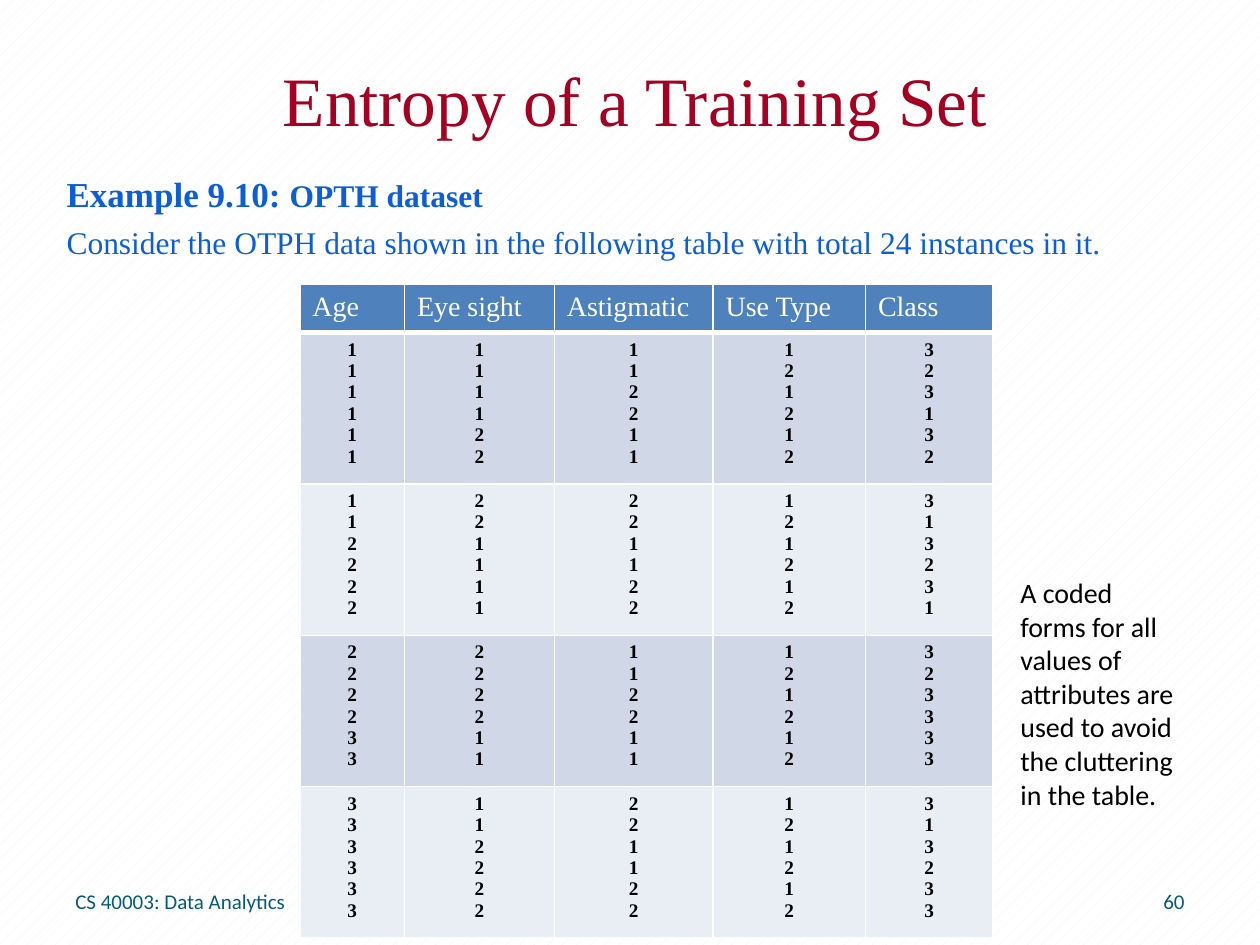
import dataclasses
import itertools

import pptx
import pptx.dml.color
import pptx.enum.dml
import pptx.enum.text
import pptx.oxml
import pptx.oxml.ns
import pptx.util

ALIGN = pptx.enum.text.PP_ALIGN
ANCHOR = pptx.enum.text.MSO_ANCHOR


@dataclasses.dataclass(frozen=True)
class Theme:
    serif: str = "Times New Roman"
    sans: str = "Calibri"
    title: str = "A50021"
    intro: str = "0B5ED7"
    footer: str = "045D75"
    ink: str = "000000"
    white: str = "FFFFFF"
    hatch: str = "F2F2F2"
    header: str = "4F81BD"
    bands: tuple = ("D0D8E8", "E9EDF4")
    title_size: float = 39.6
    lead_size: float = 20
    intro_size: float = 18
    label_size: float = 16
    footer_size: float = 12
    code_size: float = 11


@dataclasses.dataclass(frozen=True)
class Place:
    """A position on a grid of 100 columns by 75 rows."""
    column: float
    row: float
    columns: float
    rows: float

    def lengths(self) -> tuple:
        return tuple(map(grid, (self.column, self.row, self.columns, self.rows)))


@dataclasses.dataclass(frozen=True)
class Label:
    text: str
    place: Place
    size: float
    color: str
    align: ALIGN = ALIGN.LEFT
    anchor: ANCHOR = ANCHOR.TOP


THEME = Theme()
WIDTH, HEIGHT = pptx.util.Inches(10), pptx.util.Inches(7.5)

# Instances: every combination of attribute codes, in order, with its class
HEADINGS = ("Age", "Eye sight", "Astigmatic", "Use Type", "Class")
CLASSES = "323132" "313231" "323333" "313233"
INSTANCES = [codes + (label,) for codes, label in
             zip(itertools.product("123", "12", "12", "12"), CLASSES)]
GROUP_SIZE = 6
TABLE_PLACE = Place(23.8, 22.6, 55, 48.7)
COLUMN_WIDTHS = (8.3, 11.9, 12.6, 12.1, 10.1)
ROW_HEIGHTS = (3.8, 11.2, 11.2, 11.2, 11.4)

LABELS = (
    Label("CS 40003: Data Analytics", Place(5, 69.5, 23.3, 4),
          THEME.footer_size, THEME.footer, anchor=ANCHOR.MIDDLE),
    Label("60", Place(71.7, 69.5, 23.3, 4),
          THEME.footer_size, THEME.footer, ALIGN.RIGHT, ANCHOR.MIDDLE),
    Label("A coded forms for all values of attributes are used to avoid "
          "the cluttering in the table.", Place(80, 45.2, 14.2, 22.6),
          THEME.label_size, THEME.ink),
)


def grid(units: float) -> int:
    return round(WIDTH * units / 100)


def rgb(color: str) -> pptx.dml.color.RGBColor:
    return pptx.dml.color.RGBColor.from_string(color)


def add_span(para, text: str, *, size: float, color: str,
             face: str = THEME.serif, bold: bool = False) -> None:
    span = para.add_run()
    span.text = text
    span.font.name = face
    span.font.size = pptx.util.Pt(size)
    span.font.color.rgb = rgb(color)
    span.font.bold = bold


def add_box(page, place: Place, anchor: ANCHOR = ANCHOR.TOP):
    frame = page.shapes.add_textbox(*place.lengths()).text_frame
    frame.word_wrap = True
    frame.vertical_anchor = anchor
    return frame


def add_label(page, label: Label) -> None:
    para = add_box(page, label.place, label.anchor).paragraphs[0]
    para.alignment = label.align
    add_span(para, label.text, size=label.size, color=label.color, face=THEME.sans)


def add_title(page, text: str) -> None:
    title = page.shapes.title
    title.left, title.top, title.width, title.height = Place(4.8, 4.8, 91.2, 6.1).lengths()
    title.text_frame.vertical_anchor = ANCHOR.MIDDLE
    para = title.text_frame.paragraphs[0]
    para.alignment = ALIGN.CENTER
    add_span(para, text, size=THEME.title_size, color=THEME.title)


def add_intro(page) -> None:
    frame = add_box(page, Place(4.3, 12.8, 90, 54.9))
    frame.margin_top = grid(0.9)
    lead = frame.paragraphs[0]
    add_span(lead, "Example 9.10: ", size=THEME.lead_size, color=THEME.intro, bold=True)
    add_span(lead, "OPTH dataset", size=THEME.intro_size, color=THEME.intro, bold=True)
    para = frame.add_paragraph()
    para.space_before = pptx.util.Pt(5)
    add_span(para, "Consider the OTPH data shown in the following table "
             "with total 24 instances in it.", size=THEME.intro_size, color=THEME.intro)


def set_borders(cell, bottom: float = 1) -> None:
    properties = cell._tc.get_or_add_tcPr()
    widths = {"lnL": 1, "lnR": 1, "lnT": 1, "lnB": bottom}
    for position, (side, points) in enumerate(widths.items()):
        properties.insert(position, pptx.oxml.parse_xml(
            f'<a:{side} {pptx.oxml.ns.nsdecls("a")} w="{pptx.util.Pt(points)}">'
            f'<a:solidFill><a:srgbClr val="{THEME.white}"/></a:solidFill></a:{side}>'))


def fill_cell(cell, lines, *, fill: str, align: ALIGN, bottom: float = 1, **style) -> None:
    cell.fill.solid()
    cell.fill.fore_color.rgb = rgb(fill)
    set_borders(cell, bottom)
    for index, line in enumerate(lines):
        frame = cell.text_frame
        para = frame.add_paragraph() if index else frame.paragraphs[0]
        para.alignment = align
        add_span(para, line, **style)


def add_instances(page) -> None:
    table = page.shapes.add_table(len(ROW_HEIGHTS), len(HEADINGS),
                                  *TABLE_PLACE.lengths()).table
    for column, width in zip(table.columns, COLUMN_WIDTHS):
        column.width = grid(width)
    for row, height in zip(table.rows, ROW_HEIGHTS):
        row.height = grid(height)
    for column, heading in enumerate(HEADINGS):
        fill_cell(table.cell(0, column), [heading], fill=THEME.header, align=ALIGN.LEFT,
                  bottom=3, size=THEME.label_size, color=THEME.white)
    # Each body row stacks one group of instances
    for group in range(len(INSTANCES) // GROUP_SIZE):
        start = group * GROUP_SIZE
        for column, codes in enumerate(zip(*INSTANCES[start:start + GROUP_SIZE])):
            fill_cell(table.cell(group + 1, column), codes, fill=THEME.bands[group % 2],
                      align=ALIGN.CENTER, size=THEME.code_size, color=THEME.ink, bold=True)


def main() -> None:
    deck = pptx.Presentation()
    deck.slide_width, deck.slide_height = WIDTH, HEIGHT
    page = deck.slides.add_slide(deck.slide_layouts[5])

    # Hatched background
    backdrop = page.background.fill
    backdrop.patterned()
    backdrop.pattern = pptx.enum.dml.MSO_PATTERN.PERCENT_10
    backdrop.fore_color.rgb = rgb(THEME.hatch)
    backdrop.back_color.rgb = rgb(THEME.white)

    # Content
    add_title(page, "Entropy of a Training Set")
    add_intro(page)
    add_instances(page)
    for label in LABELS:
        add_label(page, label)
    deck.save("out.pptx")


if __name__ == "__main__":
    main()
